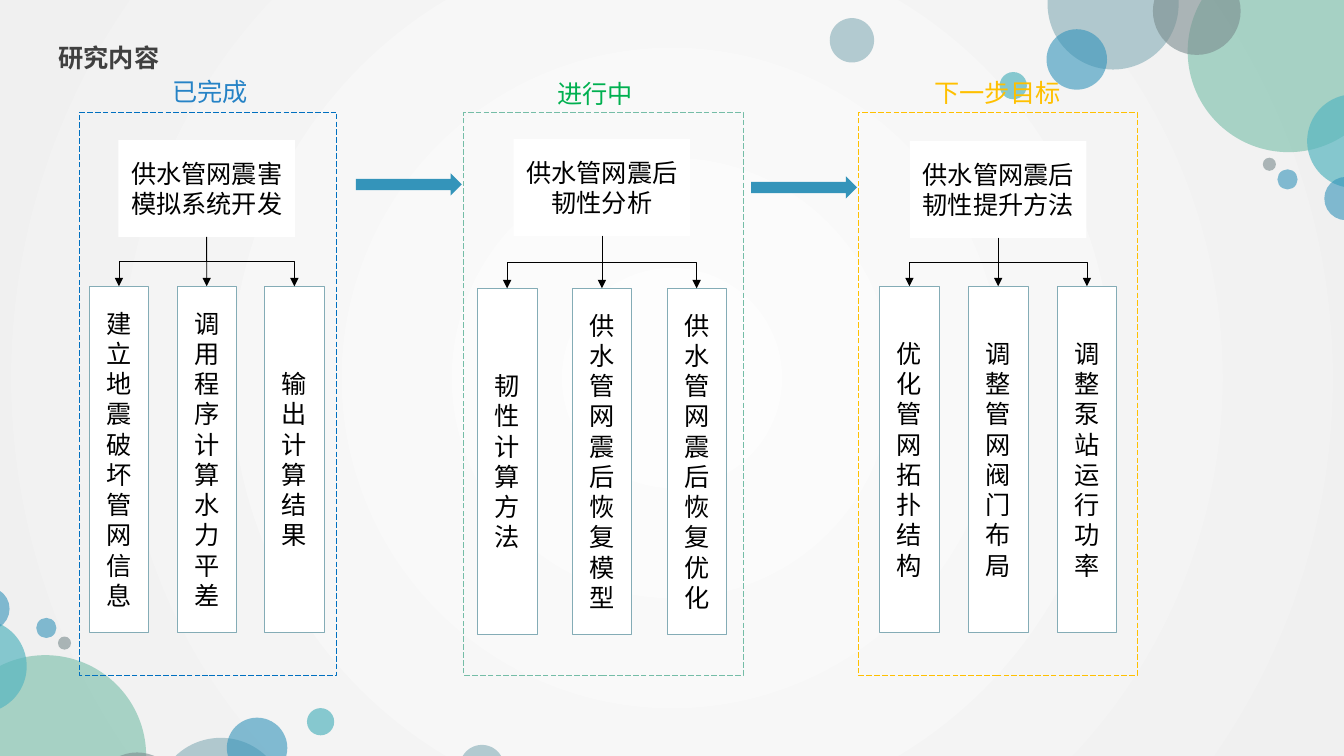
from dataclasses import dataclass

from lxml import etree
from pptx import Presentation
from pptx.dml.color import RGBColor
from pptx.enum import dml, shapes, text
from pptx.oxml import ns
from pptx.util import Inches, Pt


@dataclass(frozen=True)
class Theme:
    font: str = "Times New Roman"
    size: int = 18
    hairline: float = 0.5
    heading: str = "404040"
    ink: str = "000000"
    box: str = "FFFFFF"
    box_line: str = "84ACB6"
    arrow: str = "3494BA"
    centre: str = "FDFDFD"
    edge: str = "F0F0F0"
    steel: str = "84ACB6"
    green: str = "75BDA7"
    grey: str = "7A8C8E"
    blue: str = "3494BA"
    teal: str = "58B6C0"


THEME = Theme()


@dataclass(frozen=True)
class Bubble:
    x: float  # centre
    y: float
    size: float
    color: str
    alpha: int = 60


@dataclass(frozen=True)
class Stage:
    label: str
    label_x: float
    label_y: float
    label_w: float
    label_color: str
    frame_x: float
    frame_w: float
    frame_color: str
    topic: str
    centre_x: float
    topic_y: float
    task_y: float
    pitch: float
    tasks: tuple[str, ...]


BUBBLES = [
    Bubble(11.04, 0.04, 1.3, THEME.steel),
    Bubble(12.78, 0.51, 2, THEME.green),
    Bubble(11.87, 0.11, 0.87, THEME.grey),
    Bubble(10.68, 0.59, 0.6, THEME.blue),
    Bubble(13.43, 1.4, 0.93, THEME.teal, 70),
    Bubble(10.05, 0.85, 0.27, THEME.teal, 70),
    Bubble(13.35, 1.97, 0.43, THEME.blue),
    Bubble(12.77, 1.78, 0.2, THEME.blue),
    Bubble(12.59, 1.63, 0.13, THEME.grey),
    Bubble(8.45, 0.4, 0.44, THEME.steel),
]
# The lower-left bubbles are the upper-right ones turned by half a circle
TURN_X, TURN_Y = 13.23, 8.01

STAGES = [
    Stage("已完成", 1.61, 0.62, 0.96, "2683C6", 0.79, 2.55, "0070C0",
          "供水管网震害模拟系统开发", 2.05, 1.39, 2.84, 0.87,
          ("建立地震破坏管网信息", "调用程序计算水力平差", "输出计算结果")),
    Stage("进行中", 5.43, 0.64, 0.96, "00B050", 4.6, 2.77, "75BDA7",
          "供水管网震后韧性分析", 5.97, 1.38, 2.86, 0.94,
          ("韧性计算方法", "供水管网震后恢复模型", "供水管网震后恢复优化")),
    Stage("下一步目标", 9.17, 0.63, 1.46, "FFC000", 8.51, 2.77, "FFC000",
          "供水管网震后韧性提升方法", 9.9, 1.4, 2.84, 0.88,
          ("优化管网拓扑结构", "调整管网阀门布局", "调整泵站运行功率")),
]
ARROWS = [(3.53, 1.72), (7.45, 1.75)]
TOPIC_W, TOPIC_H = 1.75, 0.96
TASK_W, TASK_H = 0.59, 3.43


def rgb(color: str) -> RGBColor:
    return RGBColor.from_string(color)


def add_shape(slide, kind, x: float, y: float, w: float, h: float,
              fill: str | None = None, line: str | None = None):
    sp = slide.shapes.add_shape(kind, Inches(x), Inches(y), Inches(w), Inches(h))
    sp.shadow.inherit = False
    if fill:
        sp.fill.solid()
        sp.fill.fore_color.rgb = rgb(fill)
    else:
        sp.fill.background()
    if line:
        sp.line.color.rgb = rgb(line)
        sp.line.width = Pt(THEME.hairline)
    else:
        sp.line.fill.background()
    return sp


def write(sp, words: str, color: str, align=text.PP_ALIGN.LEFT,
          spacing: float = 1.0, bold: bool = False) -> None:
    p = sp.text_frame.paragraphs[0]
    p.text = words
    p.alignment = align
    p.line_spacing = spacing
    p.font.name = THEME.font
    p.font.size = Pt(THEME.size)
    p.font.bold = bold
    p.font.color.rgb = rgb(color)


def add_box(slide, words: str, x: float, y: float, w: float, h: float,
            line: str | None = None):
    sp = add_shape(slide, shapes.MSO_SHAPE.RECTANGLE, x, y, w, h, THEME.box, line)
    sp.text_frame.word_wrap = True
    sp.text_frame.vertical_anchor = text.MSO_ANCHOR.MIDDLE
    write(sp, words, THEME.ink, text.PP_ALIGN.CENTER)
    return sp


def add_bubble(slide, x: float, y: float, bubble: Bubble) -> None:
    d = bubble.size
    sp = add_shape(slide, shapes.MSO_SHAPE.OVAL, x - d / 2, y - d / 2, d, d, bubble.color)
    color = sp._element.spPr.find(".//" + ns.qn("a:srgbClr"))
    etree.SubElement(color, ns.qn("a:alpha"), val=str(bubble.alpha * 1000))


def join(slide, topic, task, side: int) -> None:
    """Link a topic to a task on its left (-1), below it (0) or on its right (1)."""
    kind = shapes.MSO_CONNECTOR.ELBOW if side else shapes.MSO_CONNECTOR.STRAIGHT
    c = slide.shapes.add_connector(kind, 0, 0, 0, 0)
    c.begin_connect(topic, 2)
    c.end_connect(task, 0)
    c.line.color.rgb = rgb(THEME.ink)
    c.line.width = Pt(THEME.hairline)
    sp_pr = c._element.spPr
    etree.SubElement(sp_pr.find(ns.qn("a:ln")), ns.qn("a:tailEnd"), type="triangle")
    etree.SubElement(sp_pr, ns.qn("a:effectLst"))
    if side:
        # Turn the elbow so that it leaves and arrives vertically
        mid_x, mid_y = c.left + c.width // 2, c.top + c.height // 2
        c.width, c.height = c.height, c.width
        c.left, c.top = mid_x - c.width // 2, mid_y - c.height // 2
        xfrm = sp_pr.find(ns.qn("a:xfrm"))
        xfrm.set("rot", str((90 if side < 0 else 270) * 60000))
        xfrm.set("flipH", "0" if side < 0 else "1")


def add_stage(slide, stage: Stage) -> None:
    # Topic with its three tasks
    topic = add_box(slide, stage.topic, stage.centre_x - TOPIC_W / 2, stage.topic_y,
                    TOPIC_W, TOPIC_H)
    for side, words in enumerate(stage.tasks, start=-1):
        x = stage.centre_x + side * stage.pitch - TASK_W / 2
        task = add_box(slide, words, x, stage.task_y, TASK_W, TASK_H, THEME.box_line)
        join(slide, topic, task, side)

    # Dashed frame and status label
    frame = add_shape(slide, shapes.MSO_SHAPE.RECTANGLE, stage.frame_x, 1.11,
                      stage.frame_w, 5.59, line=stage.frame_color)
    frame.line.dash_style = dml.MSO_LINE.LONG_DASH
    label = slide.shapes.add_textbox(Inches(stage.label_x), Inches(stage.label_y),
                                     Inches(stage.label_w), Inches(0.45))
    label.text_frame.word_wrap = False
    label.text_frame.auto_size = text.MSO_AUTO_SIZE.SHAPE_TO_FIT_TEXT
    write(label, stage.label, stage.label_color, spacing=1.3)


def set_background(slide) -> None:
    fill = slide.background.fill
    fill.gradient()
    for stop, color in zip(fill.gradient_stops, (THEME.centre, THEME.edge)):
        stop.color.rgb = rgb(color)
    grad = slide._element.find(".//" + ns.qn("a:gradFill"))
    lin = grad.find(ns.qn("a:lin"))
    circle = etree.Element(ns.qn("a:path"), path="circle")
    etree.SubElement(circle, ns.qn("a:fillToRect"),
                     {side: "50000" for side in ("l", "t", "r", "b")})
    grad.replace(lin, circle)


def main() -> None:
    prs = Presentation()
    prs.slide_width, prs.slide_height = Inches(13.33), Inches(7.5)
    slide = prs.slides.add_slide(prs.slide_layouts[5])

    # Background and bubbles
    set_background(slide)
    for bubble in BUBBLES:
        add_bubble(slide, bubble.x, bubble.y, bubble)
    for bubble in BUBBLES:
        add_bubble(slide, TURN_X - bubble.x, TURN_Y - bubble.y, bubble)

    # Title
    title = slide.shapes.title
    title.left, title.top = Inches(0.48), Inches(0.28)
    title.width, title.height = Inches(3.72), Inches(0.44)
    title.text_frame.vertical_anchor = text.MSO_ANCHOR.TOP
    title.text_frame.auto_size = text.MSO_AUTO_SIZE.NONE
    write(title, "研究内容", THEME.heading, spacing=1.3, bold=True)

    # Stages and the arrows between them
    for stage in STAGES:
        add_stage(slide, stage)
    for x, y in ARROWS:
        add_shape(slide, shapes.MSO_SHAPE.RIGHT_ARROW, x, y, 1.05, 0.22, THEME.arrow)

    prs.save("out.pptx")


if __name__ == "__main__":
    main()
